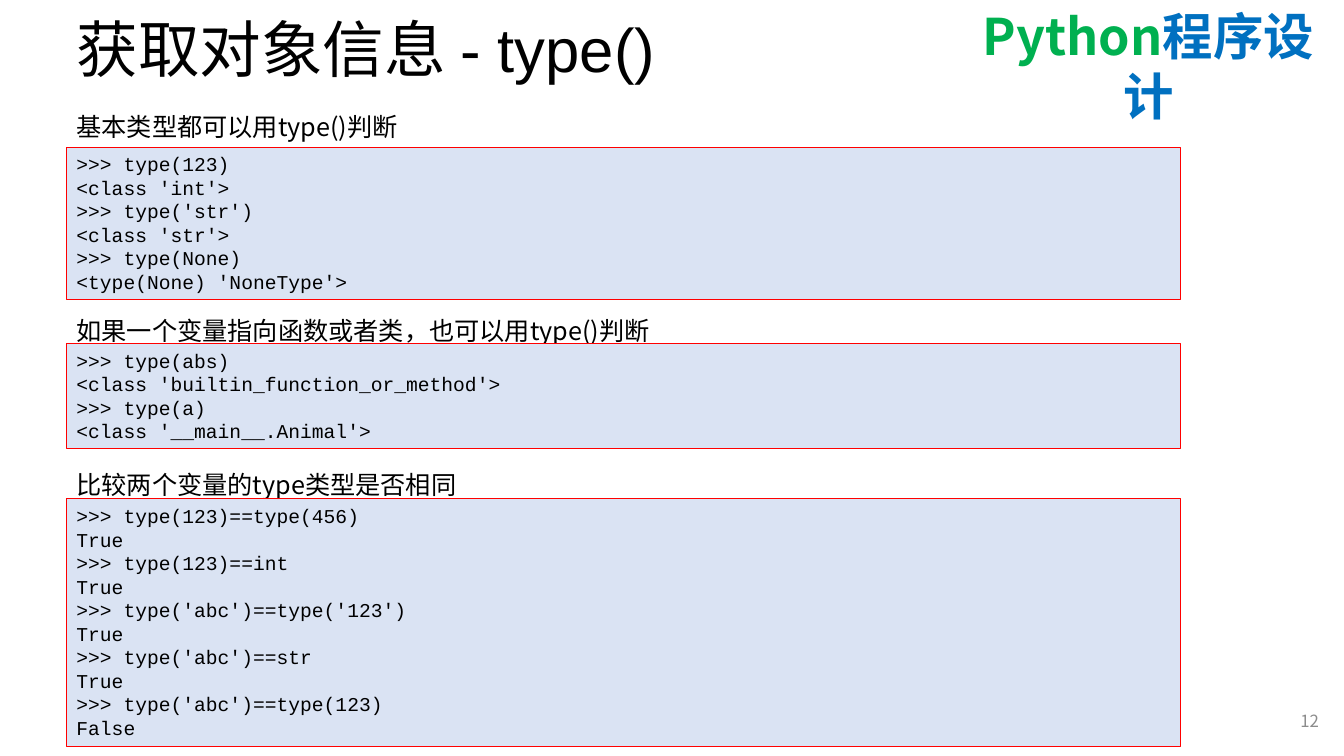
import pptx
import pptx.dml.color
import pptx.enum.shapes
import pptx.enum.text
import pptx.util
from lxml import etree
from pptx.util import Inches

COLORS = {
    "text": "000000",
    "green": "00B050",
    "blue": "0070C0",
    "number": "8C8C8C",
    "code_fill": "DAE3F3",
    "code_line": "FF0000",
}
SANS = "Noto Sans CJK SC"
ALIGN = pptx.enum.text.PP_ALIGN
ANCHOR = pptx.enum.text.MSO_ANCHOR
LEFT = 0.66

# Each section: heading top, heading, code top, code height, code
SECTIONS = [
    (1.06, "基本类型都可以用type()判断", 1.46, 1.51, """\
>>> type(123)
<class 'int'>
>>> type('str')
<class 'str'>
>>> type(None)
<type(None) 'NoneType'>"""),
    (3.08, "如果一个变量指向函数或者类，也可以用type()判断", 3.41, 1.04, """\
>>> type(abs)
<class 'builtin_function_or_method'>
>>> type(a)
<class '__main__.Animal'>"""),
    (4.61, "比较两个变量的type类型是否相同", 4.95, 2.46, """\
>>> type(123)==type(456)
True
>>> type(123)==int
True
>>> type('abc')==type('123')
True
>>> type('abc')==str
True
>>> type('abc')==type(123)
False"""),
]


def rgb(name):
    return pptx.dml.color.RGBColor.from_string(COLORS[name])


def add_span(para, text, size=18, font=SANS, asian=SANS, color="text", bold=False):
    span = para.add_run()
    span.text = text
    span.font.size = pptx.util.Pt(size)
    span.font.bold = bold
    span.font.name = font
    span.font.color.rgb = rgb(color)
    latin = span.font._element.find(pptx.oxml.ns.qn("a:latin"))
    east_asian = etree.Element(pptx.oxml.ns.qn("a:ea"), typeface=asian)
    latin.addnext(east_asian)


class PageBuilder:
    """Holds the text style and the page being filled."""

    def __init__(self, page):
        self.page = page

    def prepare(self, box, anchor):
        frame = box.text_frame
        frame.word_wrap = True
        frame.vertical_anchor = anchor
        return frame

    def text(self, left, top, width, height, spans, align=ALIGN.LEFT,
             anchor=ANCHOR.TOP, line_spacing=None):
        """Add one paragraph made of (text, format) pairs."""
        box = self.page.shapes.add_textbox(
            Inches(left), Inches(top), Inches(width), Inches(height))
        para = self.prepare(box, anchor).paragraphs[0]
        para.alignment = align
        para.line_spacing = line_spacing
        for words, style in spans:
            add_span(para, words, **style)

    def code(self, top, height, source):
        box = self.page.shapes.add_shape(
            pptx.enum.shapes.MSO_SHAPE.RECTANGLE,
            Inches(LEFT), Inches(top), Inches(11.05), Inches(height))
        box.shadow.inherit = False
        box.fill.solid()
        box.fill.fore_color.rgb = rgb("code_fill")
        box.line.color.rgb = rgb("code_line")
        box.line.width = pptx.util.Pt(0.75)
        frame = self.prepare(box, ANCHOR.TOP)
        for index, line in enumerate(source.splitlines()):
            para = frame.add_paragraph() if index else frame.paragraphs[0]
            para.alignment = ALIGN.LEFT
            add_span(para, line, size=14, font="Courier New")


def main():
    deck = pptx.Presentation()
    deck.slide_width = Inches(13.33)
    deck.slide_height = Inches(7.5)
    builder = PageBuilder(deck.slides.add_slide(deck.slide_layouts[6]))

    course = {"size": 36, "bold": True}
    builder.text(9.47, 0, 3.84, 0.71,
                 [("Python", {"color": "green", **course}),
                  ("程序设计", {"color": "blue", **course})],
                 align=ALIGN.CENTER)
    builder.text(LEFT, 0, 11.5, 1.05,
                 [("获取对象信息 - type()", {"size": 44, "font": "Arial"})],
                 anchor=ANCHOR.MIDDLE, line_spacing=0.9)
    builder.text(10.18, 6.95, 3, 0.4, [("12", {"size": 12, "color": "number"})],
                 align=ALIGN.RIGHT, anchor=ANCHOR.MIDDLE)

    for heading_top, heading, code_top, code_height, source in SECTIONS:
        builder.text(LEFT, heading_top, 12.1, 0.4, [(heading, {})])
        builder.code(code_top, code_height, source)

    deck.save("out.pptx")


if __name__ == "__main__":
    main()
